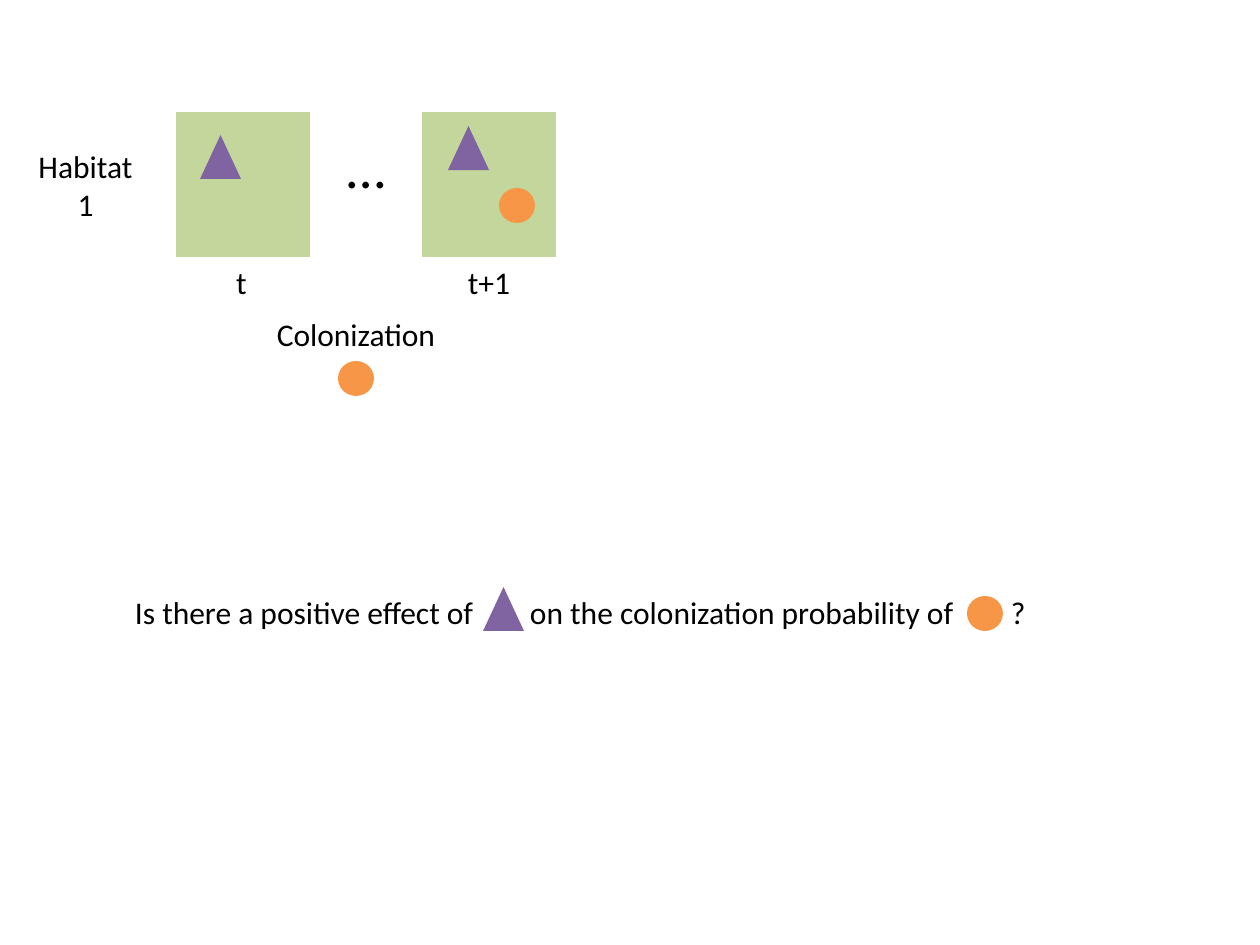
from lxml import etree
from pptx import Presentation
from pptx.dml.color import RGBColor
from pptx.enum import shapes, text
from pptx.oxml import ns
from pptx.util import Emu, Pt

PX = 914400 / 126  # EMU in one px
FONT = "Calibri"
COLORS = {"habitat": "C3D69B", "resident": "8064A2", "colonist": "F79646", "text": "000000"}
KINDS = shapes.MSO_SHAPE


def px(*lengths):
    return [Emu(round(length * PX)) for length in lengths]


def add_figure(parent, kind, color, left, top, width, height):
    shape = parent.shapes.add_shape(kind, *px(left, top, width, height))
    shape.shadow.inherit = False
    shape.fill.solid()
    shape.fill.fore_color.rgb = RGBColor.from_string(COLORS[color])
    shape.line.fill.background()


def add_habitat(parent, left):
    add_figure(parent, KINDS.RECTANGLE, "habitat", left, 112, 134, 145)


def add_resident(parent, left, top):
    add_figure(parent, KINDS.ISOSCELES_TRIANGLE, "resident", left, top, 41, 44)


def add_colonist(parent, left, top):
    add_figure(parent, KINDS.OVAL, "colonist", left, top, 36, 35)


def add_label(parent, lines, left, top, width, height, size=18, **frame_format):
    box = parent.shapes.add_textbox(*px(left, top, width, height))
    frame = box.text_frame
    frame.text = "\n".join(lines)
    settings = {"word_wrap": False, "auto_size": text.MSO_AUTO_SIZE.SHAPE_TO_FIT_TEXT}
    for name, value in {**settings, **frame_format}.items():
        setattr(frame, name, value)
    for paragraph in frame.paragraphs:
        paragraph.alignment = text.PP_ALIGN.CENTER
        font = paragraph.font
        for name, value in {"name": FONT, "size": Pt(size)}.items():
            setattr(font, name, value)
        font.color.rgb = RGBColor.from_string(COLORS["text"])
    return frame


def add_question(slide):
    # Tab stops leave room for the symbols inside the sentence
    question = "Is there a positive effect of\ton the colonization probability of\t?"
    frame = add_label(slide, [question], 116, 587, 929, 50,
                      word_wrap=True, margin_left=px(19)[0])
    paragraph = frame.paragraphs[0]
    paragraph.alignment = text.PP_ALIGN.LEFT
    properties = paragraph.font._element.getparent()
    tabs = etree.Element(ns.qn("a:tabLst"))
    for stop in px(395, 876):
        etree.SubElement(tabs, ns.qn("a:tab"), pos=str(stop), algn="l")
    properties.insert(0, tabs)
    add_resident(slide, 483, 587)
    add_colonist(slide, 967, 596)


def main():
    presentation = Presentation()
    presentation.slide_width, presentation.slide_height = px(1260, 945)
    slide = presentation.slides.add_slide(presentation.slide_layouts[6])

    add_label(slide, ["Habitat", "1"], 25, 141, 121, 89)

    # Habitat at time t
    before = slide.shapes.add_group_shape()
    add_habitat(before, 176)
    add_resident(before, 200, 135)
    add_label(before, ["t"], 223, 257, 37, 50)

    # Habitat at time t+1
    after = slide.shapes.add_group_shape()
    add_habitat(after, 422)
    add_resident(after, 448, 126)
    add_colonist(after, 499, 188)
    add_label(after, ["t+1"], 455, 257, 68, 50)

    add_label(slide, ["…"], 334, 126, 64, 81, size=32,
              vertical_anchor=text.MSO_ANCHOR.MIDDLE)

    # Event between the two times
    event = slide.shapes.add_group_shape()
    add_colonist(event, 338, 361)
    add_label(event, ["Colonization"], 263, 309, 186, 50)

    add_question(slide)
    presentation.save("out.pptx")


if __name__ == "__main__":
    main()
